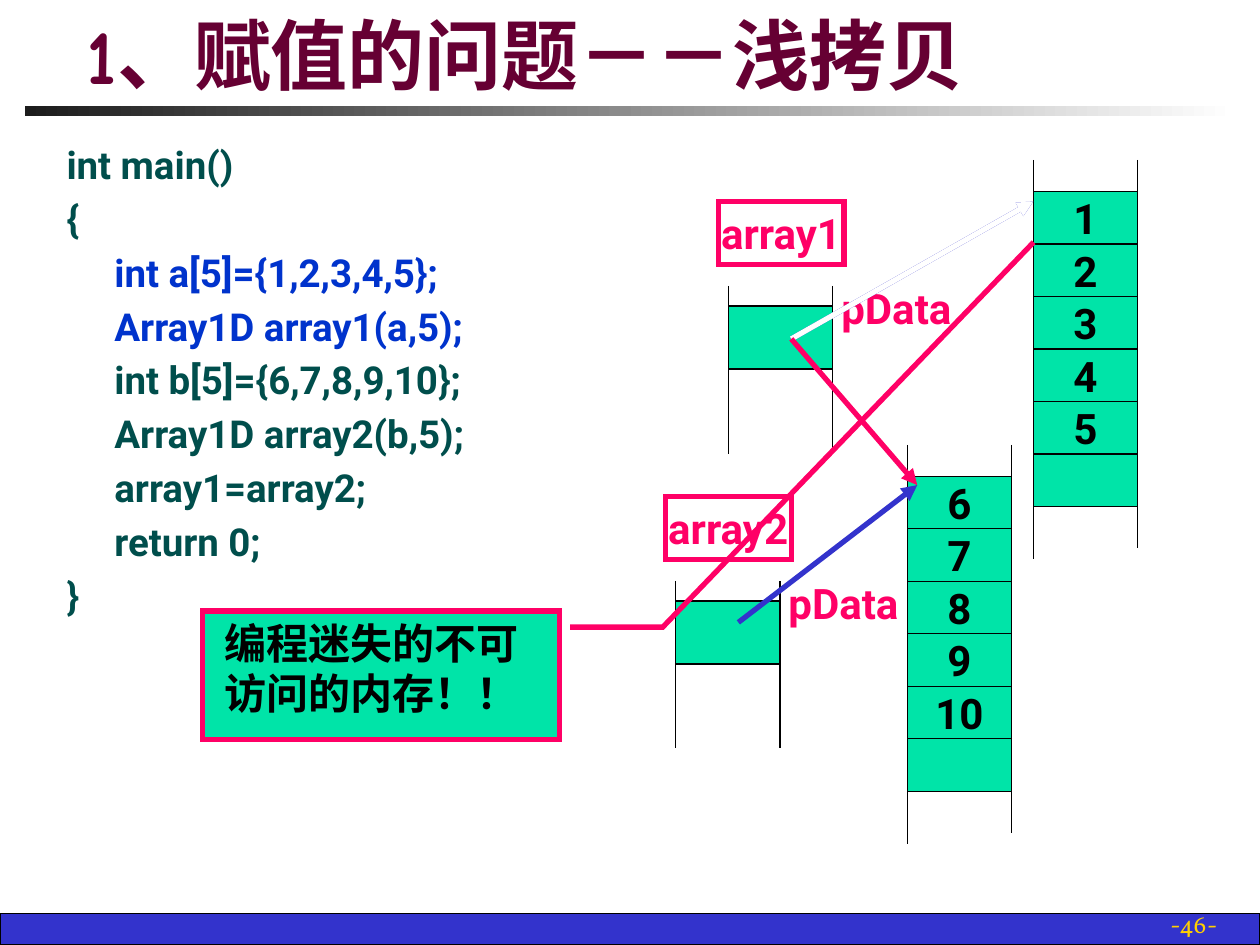
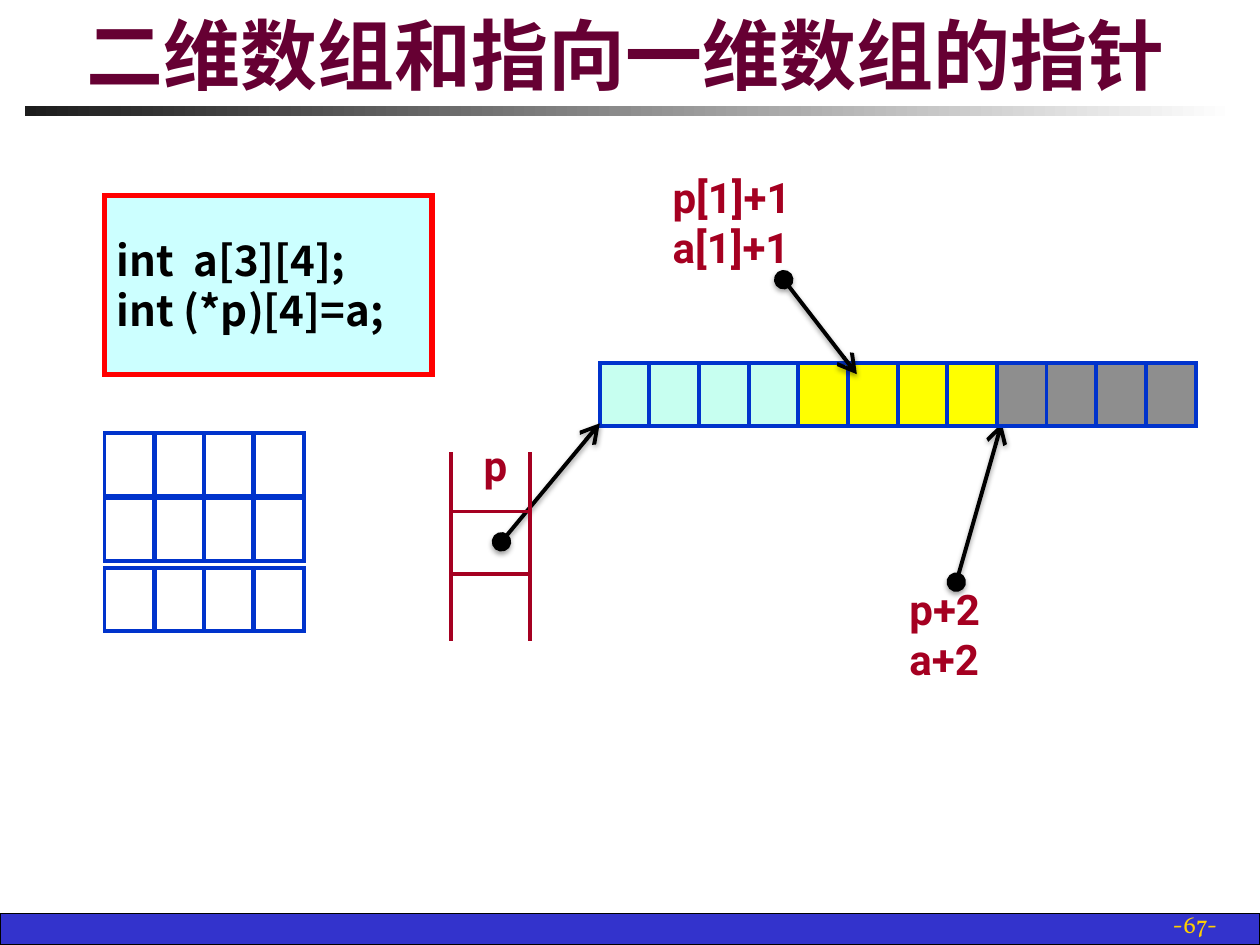
from dataclasses import dataclass
from typing import Any, Optional

import pptx
import pptx.dml.color
import pptx.enum.shapes
import pptx.enum.text
import pptx.oxml
import pptx.oxml.ns
import pptx.util

Inches = pptx.util.Inches
Pt = pptx.util.Pt
SHAPE = pptx.enum.shapes.MSO_SHAPE
ALIGN = pptx.enum.text.PP_ALIGN
ANCHOR = pptx.enum.text.MSO_ANCHOR
qn = pptx.oxml.ns.qn
DRAWING_NS = pptx.oxml.ns.nsdecls("a")


@dataclass(frozen=True)
class Theme:
    title: str = "660033"
    band: str = "3333CC"
    page: str = "FFCF01"
    black: str = "000000"
    white: str = "FFFFFF"
    bar_start: str = "1C1C1C"
    code: str = "004E4C"
    blue: str = "0033CC"
    memory: str = "00E4A8"
    pink: str = "FF0066"
    crimson: str = "A50021"
    red: str = "FF0000"
    panel: str = "CCFFFF"
    row_colors: tuple[str, ...] = ("C7FFF0", "FFFF00", "8E8E8E")
    title_font: str = "Comic Neue"
    body_font: str = "Roboto"
    cjk_font: str = "Noto Sans CJK SC"
    page_font: str = "Vollkorn"
    title_size: float = 44
    label_size: float = 24
    code_size: float = 22
    page_size: float = 14
    thin: float = 0.75
    medium: float = 2.25
    thick: float = 3


THEME = Theme()


@dataclass(frozen=True)
class Box:
    left: float
    top: float
    width: float
    height: float

    def emu(self) -> tuple[int, ...]:
        return tuple(Inches(v) for v in (self.left, self.top, self.width, self.height))


@dataclass(frozen=True)
class Style:
    color: str = THEME.black
    size: float = THEME.label_size
    font: str = THEME.body_font
    bold: bool = True
    align: Any = ALIGN.LEFT
    anchor: Any = ANCHOR.TOP
    wrap: bool = True
    hanging: float = 0
    before: float = 0


@dataclass(frozen=True)
class Arrow:
    start: tuple[float, float]
    end: tuple[float, float]
    color: str = THEME.black
    width: float = THEME.thick
    head: Optional[str] = None
    tail: Optional[str] = "triangle"
    tip_size: str = "med"
    shadow: bool = False


@dataclass(frozen=True)
class ArrayObject:
    name: str
    left: float
    top: float


@dataclass(frozen=True)
class MemoryBlock:
    left: float
    top: float
    values: tuple[str, ...]


CENTERED = Style(align=ALIGN.CENTER, anchor=ANCHOR.MIDDLE, wrap=False)
PINK_LABEL = Style(THEME.pink, align=ALIGN.CENTER, anchor=ANCHOR.MIDDLE, wrap=False)
CRIMSON_LABEL = Style(THEME.crimson)
TITLE = Style(THEME.title, THEME.title_size, THEME.title_font, anchor=ANCHOR.BOTTOM)
PAGE = Style(THEME.page, THEME.page_size, THEME.page_font, False, ALIGN.RIGHT, ANCHOR.BOTTOM)
CODE = Style(THEME.code, THEME.code_size, hanging=0.38, before=4.4)

CODE_LINES = (
    ("int main()", THEME.code),
    ("{", THEME.code),
    ("\tint a[5]={1,2,3,4,5};", THEME.blue),
    ("\tArray1D array1(a,5);", THEME.blue),
    ("\tint b[5]={6,7,8,9,10};", THEME.code),
    ("\tArray1D array2(b,5);", THEME.code),
    ("\tarray1=array2;", THEME.code),
    ("\treturn 0;", THEME.code),
    ("}", THEME.code),
)
OBJECTS = (ArrayObject("array1", 5.7, 1.6), ArrayObject("array2", 5.28, 3.94))
BLOCKS = (
    MemoryBlock(8.2, 1.52, ("1", "2", "3", "4", "5", "")),
    MemoryBlock(7.2, 3.78, ("6", "7", "8", "9", "10", "")),
)
BLOCK_WIDTH = 0.83
BLOCK_STEP = 2.5 / 6
CELL_STEP = 0.394
CELL_WIDTH, CELL_HEIGHT = 0.4, 0.5


def rgb(color: str) -> pptx.dml.color.RGBColor:
    return pptx.dml.color.RGBColor.from_string(color)


def apply(target: Any, values: dict[str, Any]) -> None:
    for name, value in values.items():
        setattr(target, name, value)


def write(shape: Any, lines: list, style: Style) -> None:
    """Fill a shape with lines, each a string or a (string, colour) pair."""
    frame = shape.text_frame
    apply(frame, {"word_wrap": style.wrap, "vertical_anchor": style.anchor})
    for index, line in enumerate(lines):
        words, color = (line, style.color) if isinstance(line, str) else line
        paragraph = frame.add_paragraph() if index else frame.paragraphs[0]
        apply(paragraph, {"alignment": style.align, "space_before": Pt(style.before)})
        if style.hanging:
            properties = paragraph._p.get_or_add_pPr()
            properties.set("marL", str(Inches(style.hanging)))
            properties.set("indent", str(-Inches(style.hanging)))
        run = paragraph.add_run()
        run.text = words
        apply(run.font, {"name": style.font, "size": Pt(style.size), "bold": style.bold})
        run.font.color.rgb = rgb(color)
        east_asian = pptx.oxml.parse_xml(f'<a:ea {DRAWING_NS} typeface="{THEME.cjk_font}"/>')
        run._r.rPr.find(qn("a:latin")).addnext(east_asian)


def add_label(slide: Any, box: Box, lines: list, style: Style) -> None:
    write(slide.shapes.add_textbox(*box.emu()), lines, style)


def add_block(slide: Any, box: Box, fill: Optional[str], line: Optional[str],
              width: float = THEME.thin, kind: Any = SHAPE.RECTANGLE) -> Any:
    block = slide.shapes.add_shape(kind, *box.emu())
    block.shadow.inherit = False
    if fill:
        block.fill.solid()
        block.fill.fore_color.rgb = rgb(fill)
    else:
        block.fill.background()
    if line:
        block.line.color.rgb = rgb(line)
        block.line.width = Pt(width)
        miter = pptx.oxml.parse_xml(f'<a:miter {DRAWING_NS} lim="800000"/>')
        block._element.spPr.find(qn("a:ln")).append(miter)
    else:
        block.line.fill.background()
    return block


def add_line(slide: Any, arrow: Arrow) -> None:
    ends = (Inches(v) for v in arrow.start + arrow.end)
    connector = slide.shapes.add_connector(pptx.enum.shapes.MSO_CONNECTOR.STRAIGHT, *ends)
    connector.line.color.rgb = rgb(arrow.color)
    connector.line.width = Pt(arrow.width)
    properties = connector._element.spPr
    for tag, kind in (("headEnd", arrow.head), ("tailEnd", arrow.tail)):
        if kind:
            properties.find(qn("a:ln")).append(pptx.oxml.parse_xml(
                f'<a:{tag} {DRAWING_NS} type="{kind}" w="{arrow.tip_size}" len="{arrow.tip_size}"/>'))
    shadow = (f'<a:outerShdw blurRad="{Pt(3.1)}" dist="{Pt(1.6)}" dir="5400000" rotWithShape="0">'
              f'<a:srgbClr val="{THEME.black}"><a:alpha val="38000"/></a:srgbClr></a:outerShdw>'
              if arrow.shadow else "")
    properties.append(pptx.oxml.parse_xml(f"<a:effectLst {DRAWING_NS}>{shadow}</a:effectLst>"))


def add_rails(slide: Any, left: float, right: float, top: float, bottoms: tuple[float, float],
              color: str = THEME.black, width: float = THEME.thin) -> None:
    """Draw the two open vertical sides of a stretch of memory."""
    for x, bottom in zip((left, right), bottoms):
        add_line(slide, Arrow((x, top), (x, bottom), color, width, tail=None))


def add_page(deck: Any, title: str, number: int) -> Any:
    slide = deck.slides.add_slide(deck.slide_layouts[6])
    add_block(slide, Box(0, 7.25, 10, 0.25), THEME.band, THEME.black)
    bar = add_block(slide, Box(0.2, 0.84, 9.61, 0.08), None, None)
    bar.fill.gradient()
    bar.fill.gradient_angle = 0
    for stop, position, color in zip(bar.fill.gradient_stops, (0, 1), (THEME.bar_start, THEME.white)):
        stop.position = position
        stop.color.rgb = rgb(color)
    add_label(slide, Box(7.68, 7.17, 2.08, 0.33), [f"-{number}-"], PAGE)
    add_label(slide, Box(0.59, 0.13, 9.06, 0.71), [title], TITLE)
    return slide


def add_memory(slide: Any, memory: MemoryBlock) -> None:
    left, top = memory.left, memory.top
    add_rails(slide, left, left + BLOCK_WIDTH, top - 0.25, (top + 2.92, top + 2.83))
    for index, value in enumerate(memory.values):
        box = Box(left, top + index * BLOCK_STEP, BLOCK_WIDTH, BLOCK_STEP)
        cell = add_block(slide, box, THEME.memory, THEME.black)
        if value:
            write(cell, [value], CENTERED)


def add_object(slide: Any, item: ArrayObject) -> None:
    left, top = item.left + 0.08, item.top
    name = add_block(slide, Box(item.left, top, 1, 0.5), None, THEME.pink, THEME.thick)
    write(name, [item.name], PINK_LABEL)
    add_rails(slide, left, left + BLOCK_WIDTH, top + 0.67, (top + 2, top + 2))
    add_block(slide, Box(left, top + 0.83, BLOCK_WIDTH, 0.5), THEME.memory, THEME.black)
    member = add_block(slide, Box(left + 1, top + 0.59, 0.67, 0.5), None, None)
    write(member, ["pData"], PINK_LABEL)


def add_cells(slide: Any, left: float, top: float, fills: list) -> None:
    for index, fill in enumerate(fills):
        box = Box(left + index * CELL_STEP, top, CELL_WIDTH, CELL_HEIGHT)
        add_block(slide, box, fill, THEME.blue, THEME.medium)


def pointer(start: tuple[float, float], end: tuple[float, float]) -> Arrow:
    return Arrow(start, end, THEME.black, THEME.medium, "oval", "arrow", "lg", True)


def build_shallow_copy(deck: Any) -> None:
    slide = add_page(deck, "1、赋值的问题－－浅拷贝", 46)
    add_label(slide, Box(0.43, 1.07, 9.14, 5.67), list(CODE_LINES), CODE)
    for memory, item in zip(BLOCKS, OBJECTS):
        add_memory(slide, memory)
        add_object(slide, item)
    array1_data, first_block, second_block = (6.28, 2.69), (8.2, 1.6), (7.28, 3.85)
    for arrow in (
        Arrow(array1_data, first_block, THEME.band),
        Arrow((5.86, 4.94), second_block, THEME.band),
        Arrow(array1_data, first_block, THEME.white),
        Arrow(array1_data, second_block, THEME.pink),
    ):
        add_line(slide, arrow)
    warning = add_block(slide, Box(1.61, 4.85, 2.83, 1.02), THEME.memory, THEME.pink,
                        THEME.thick, SHAPE.LINE_CALLOUT_2)
    for index, value in enumerate((0.125, 1.03, 0.125, 1.29, -2.87, 2.33)):
        warning.adjustments[index] = value
    write(warning, [" 编程迷失的不可", " 访问的内存！！"], Style(hanging=0.5))


def build_array_pointer(deck: Any) -> None:
    slide = add_page(deck, "二维数组和指向一维数组的指针", 67)
    declaration = add_block(slide, Box(0.83, 1.55, 2.6, 1.42), THEME.panel, THEME.red, THEME.thick)
    write(declaration, ["int  a[3][4];", "int (*p)[4]=a;"],
          Style(font=THEME.cjk_font, anchor=ANCHOR.MIDDLE, wrap=False))
    for row_top in (3.44, 3.95, 4.51):
        add_cells(slide, 0.83, row_top, [None] * 4)
    add_line(slide, pointer((7.59, 4.62), (7.95, 3.36)))
    add_cells(slide, 4.76, 2.88, [color for color in THEME.row_colors for _ in range(4)])
    add_line(slide, pointer((3.98, 4.3), (4.76, 3.36)))
    add_block(slide, Box(3.58, 4.06, 0.63, 0.5), None, THEME.crimson, THEME.medium)
    add_rails(slide, 3.58, 4.21, 3.59, (5.09, 5.09), THEME.crimson, THEME.medium)
    add_line(slide, pointer((6.22, 2.22), (6.8, 2.97)))
    for box, lines in (
        (Box(3.74, 3.44, 0.31, 0.5), ["p"]),
        (Box(7.12, 4.58, 0.94, 0.91), ["p+2", "a+2"]),
        (Box(5.24, 1.31, 1.97, 0.91), ["p[1]+1", "a[1]+1"]),
    ):
        add_label(slide, box, lines, CRIMSON_LABEL)


def main() -> None:
    deck = pptx.Presentation()
    apply(deck, {"slide_width": Inches(10), "slide_height": Inches(7.5)})
    build_shallow_copy(deck)
    build_array_pointer(deck)
    deck.save("out.pptx")


if __name__ == "__main__":
    main()
